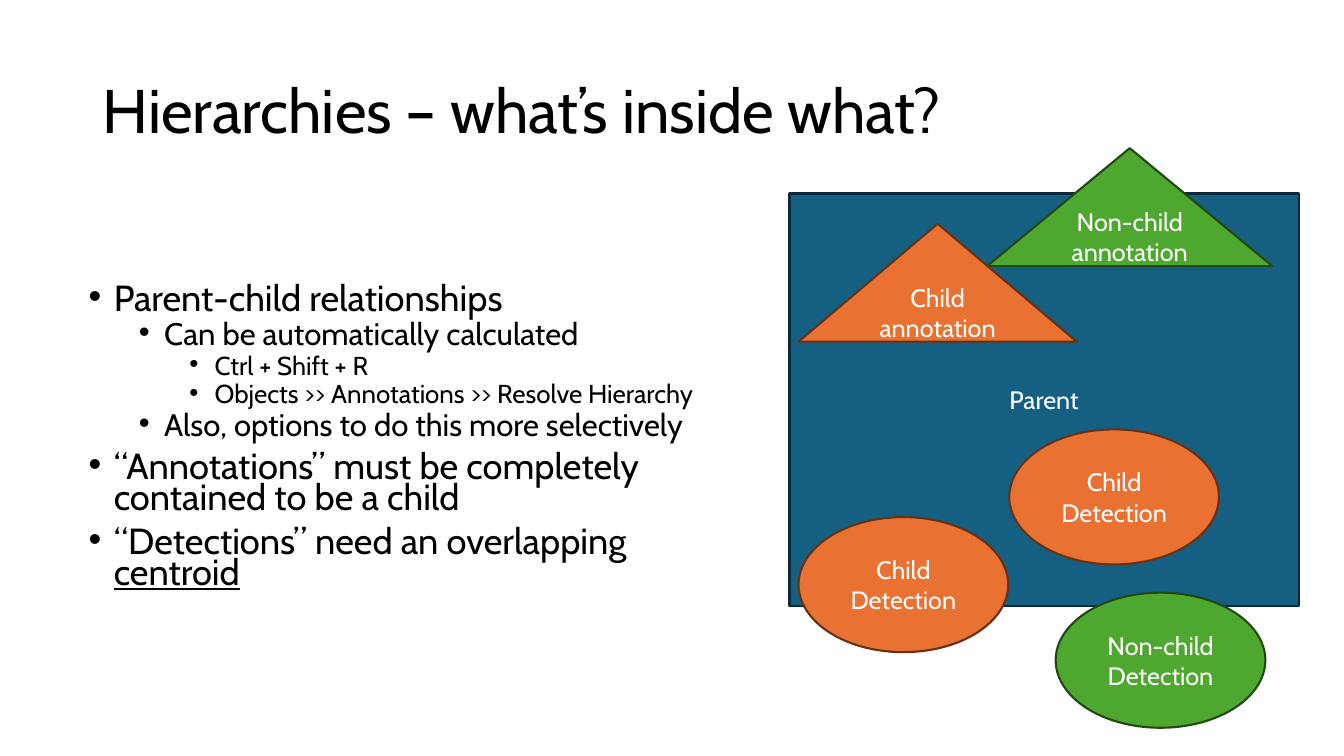
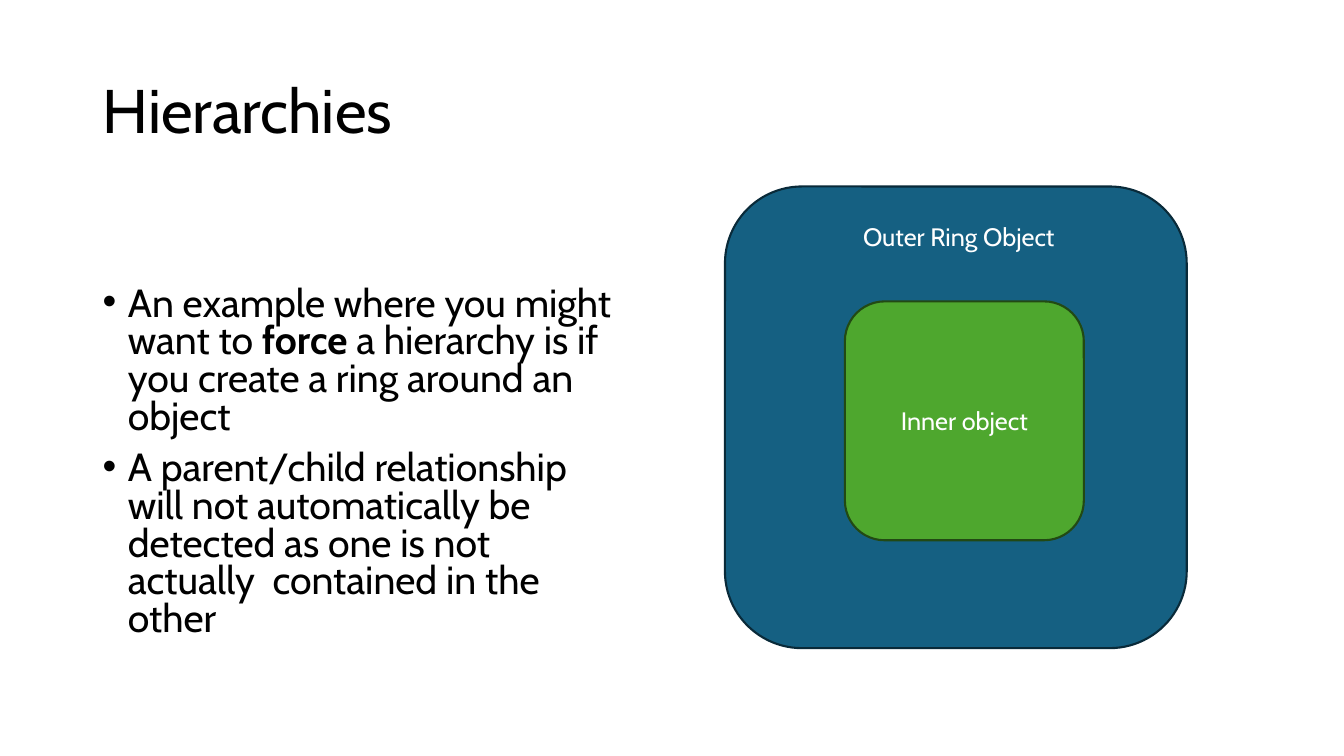
"""Build two slides on object hierarchies: parent-child rules and a ring example."""
from lxml import etree
from pptx import Presentation, util as u
from pptx.dml.color import RGBColor
from pptx.enum import shapes, text
from pptx.oxml.ns import qn

PX = 9144
FONT = "Cabin"
BLACK, WHITE = "000000", "FFFFFF"
BLUE, GREEN, ORANGE = ("156082", "092A39"), ("4EA72E", "224914"), ("E97132", "663216")
INDENT, LEVEL_STEP = 25, 50
SHAPE = shapes.MSO_SHAPE
color = RGBColor.from_string


def add_label(slide, box, wording, size=18, ink=WHITE, kind=None, colors=None):
    """Add a one-paragraph label, inside a filled shape when a kind is given."""
    place = [n * PX for n in box]
    if kind is None:
        label = slide.shapes.add_textbox(*place)
    else:
        label = slide.shapes.add_shape(kind, *place)
        label.shadow.inherit = False
        label.fill.solid()
        label.fill.fore_color.rgb = color(colors[0])
        label.line.color.rgb = color(colors[1])
        label.line.width = u.Pt(1.5)
    frame = label.text_frame
    frame.word_wrap = True
    frame.vertical_anchor = text.MSO_ANCHOR.MIDDLE
    paragraph = frame.paragraphs[0]
    paragraph.text = wording
    paragraph.alignment = text.PP_ALIGN.CENTER
    paragraph.font.name, paragraph.font.size = FONT, u.Pt(size)
    paragraph.font.color.rgb = color(ink)
    return paragraph


def add_bullets(slide, box, bullets, sizes, spacing):
    """Add a bulleted body; each bullet is a level and its (wording, style) runs."""
    frame = slide.shapes.add_textbox(*[n * PX for n in box]).text_frame
    frame.word_wrap = True
    for number, (level, runs) in enumerate(bullets):
        paragraph = frame.add_paragraph() if number else frame.paragraphs[0]
        properties = paragraph._p.get_or_add_pPr()
        properties.set("marL", str((INDENT + level * LEVEL_STEP) * PX))
        properties.set("indent", str(-INDENT * PX))
        etree.SubElement(properties, qn("a:buFont")).set("typeface", "Arial")
        etree.SubElement(properties, qn("a:buChar")).set("char", "•")
        paragraph.level = level
        paragraph.line_spacing = spacing
        if number:
            paragraph.space_before = u.Pt(5 if level else 10)
        paragraph.font.name, paragraph.font.size = FONT, u.Pt(sizes[level])
        paragraph.font.color.rgb = color(BLACK)
        for wording, style in runs:
            run = paragraph.add_run()
            run.text = wording
            if style:
                setattr(run.font, style, True)


deck = Presentation()
deck.slide_width, deck.slide_height = 1333 * PX, 750 * PX
rules, ring = [deck.slides.add_slide(deck.slide_layouts[6]) for _ in range(2)]

for slide, heading in [(rules, "Hierarchies – what’s inside what?"), (ring, "Hierarchies")]:
    title = add_label(slide, (92, 40, 1150, 145), heading, 44, BLACK)
    title.alignment = text.PP_ALIGN.LEFT
    title.line_spacing = 0.9

add_bullets(rules, (78, 280, 638, 374), [
    (0, [("Parent-child relationships", None)]),
    (1, [("Can be automatically calculated", None)]),
    (2, [("Ctrl + Shift + R", None)]),
    (2, [("Objects >> Annotations >> Resolve Hierarchy", None)]),
    (1, [("Also, options to do this more selectively", None)]),
    (0, [("“Annotations” must be completely contained to be a child", None)]),
    (0, [("“Detections” need an overlapping ", None), ("centroid", "underline")]),
], (25.9, 22.2, 18.5), 0.7)

for kind, box, colors, wording in [
    (SHAPE.RECTANGLE, (783, 192, 505, 409), BLUE, "Parent"),
    (SHAPE.ISOSCELES_TRIANGLE, (979, 147, 283, 117), GREEN, "Non-child annotation"),
    (SHAPE.ISOSCELES_TRIANGLE, (792, 222, 276, 117), ORANGE, "Child annotation"),
    (SHAPE.OVAL, (1001, 426, 208, 134), ORANGE, "Child Detection"),
    (SHAPE.OVAL, (792, 513, 208, 134), ORANGE, "Child Detection"),
    (SHAPE.OVAL, (1047, 588, 208, 134), GREEN, "Non-child Detection"),
]:
    add_label(rules, box, wording, kind=kind, colors=colors)

add_bullets(ring, (92, 280, 528, 396), [
    (0, [("An example where you might want to ", None), ("force ", "bold"),
         ("a hierarchy is if you create a ring around an object", None)]),
    (0, [("A parent/child relationship will not automatically be detected "
          "as one is not actually  contained in the other", None)]),
], (28,), 0.8)

for box, colors, wording in [
    ((719, 185, 458, 458), BLUE, ""),
    ((838, 299, 237, 237), GREEN, "Inner object"),
]:
    add_label(ring, box, wording, kind=SHAPE.ROUNDED_RECTANGLE, colors=colors)
add_label(ring, (816, 215, 270, 40), "Outer Ring Object")

deck.save("out.pptx")
